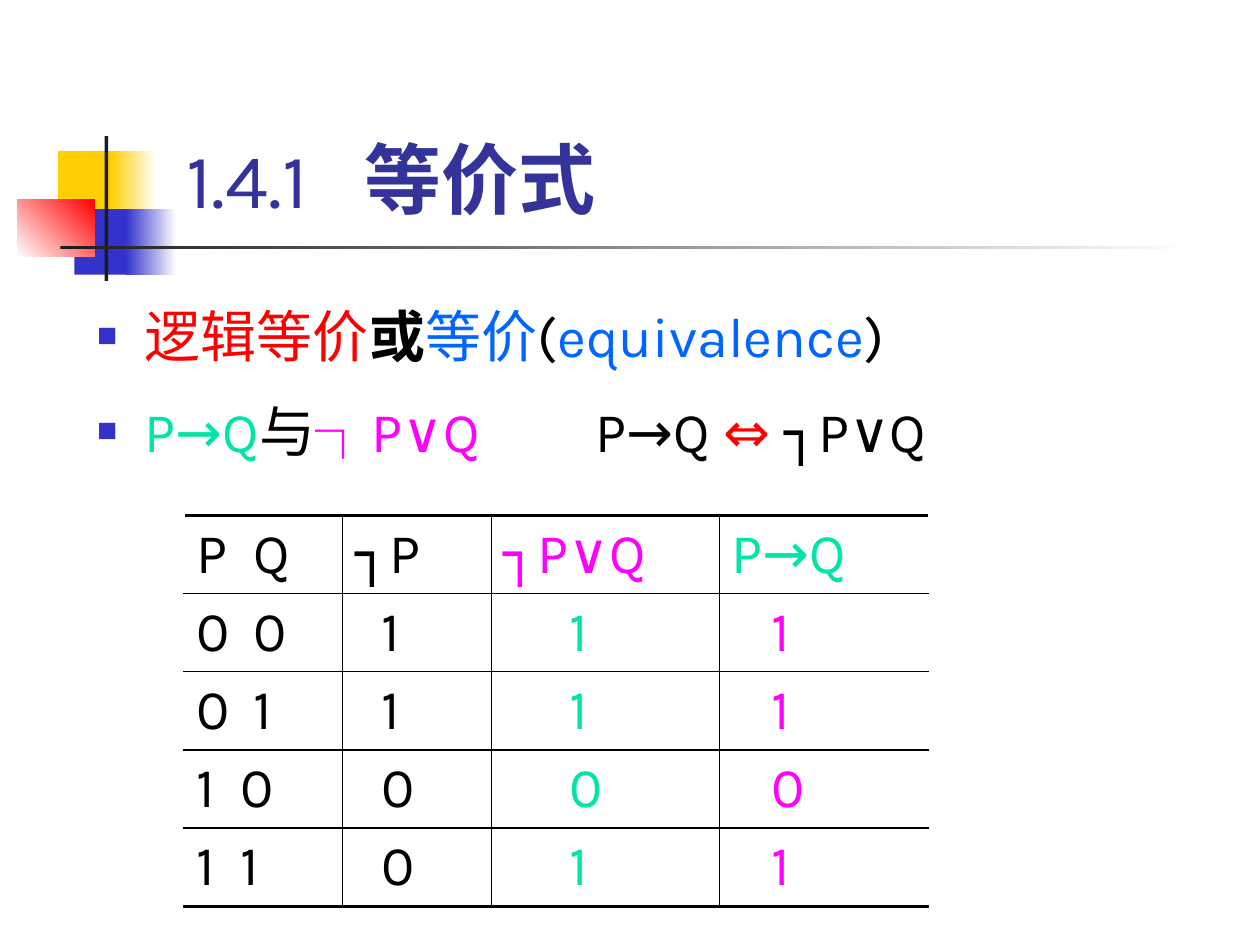
from lxml import etree
from pptx import Presentation
from pptx.dml.color import RGBColor
from pptx.enum import shapes, text
from pptx.oxml.ns import qn
from pptx.util import Inches, Pt

FONT = "Karla"
BLACK = RGBColor(0, 0, 0)
WHITE = RGBColor(255, 255, 255)
RED = RGBColor(255, 0, 0)
GOLD = RGBColor(0xFF, 0xCF, 0x01)
BLUE = RGBColor(0x33, 0x33, 0xCC)
NAVY = RGBColor(0x33, 0x33, 0x99)
SKY = RGBColor(0x00, 0x66, 0xFF)
MINT = RGBColor(0x00, 0xE4, 0xA8)
PINK = RGBColor(0xFF, 0x00, 0xFF)
DARK = RGBColor(0x1C, 0x1C, 0x1C)


def sub(node, tag, **attrs):
    return etree.SubElement(node, qn(tag), attrs)


def add_tab(para, stop):
    tabs = sub(para._p.get_or_add_pPr(), "a:tabLst")
    sub(tabs, "a:tab", pos=str(Inches(stop)), algn="l")


def add_run(para, words, color, size=32, bold=False):
    run = para.add_run()
    run.text = words
    font = run.font
    font.name, font.size, font.bold = FONT, Pt(size), bold
    font.color.rgb = color


def place(shape, box):
    shape.left, shape.top, shape.width, shape.height = map(Inches, box)


def add_block(slide, box, first, last=None, angle=0):
    block = slide.shapes.add_shape(
        shapes.MSO_SHAPE.RECTANGLE, *map(Inches, box))
    block.shadow.inherit = False
    block.line.fill.background()
    if last is None:
        block.fill.solid()
        block.fill.fore_color.rgb = first
        return
    block.fill.gradient()
    block.fill.gradient_angle = angle
    for stop, color in zip(block.fill.gradient_stops, (first, last)):
        stop.color.rgb = color


def add_motif(slide, left, top):
    parts = [
        (0.32, 0.12, 0.48, 0.52, GOLD),
        (0.74, 0.12, 0.36, 0.52, GOLD, WHITE),
        (0.45, 0.58, 0.46, 0.52, BLUE),
        (0.86, 0.58, 0.4, 0.52, BLUE, WHITE),
        (0, 0.5, 0.61, 0.46, WHITE, RED, 45),
        (0.69, 0, 0.03, 1.15, DARK),
        (0.34, 0.87, 9, 0.03, DARK, WHITE),
    ]
    for x, y, wide, high, *paint in parts:
        add_block(slide, (left + x, top + y, wide, high), *paint)


def fill_title(slide, box):
    title = slide.shapes.title
    place(title, box)
    frame = title.text_frame
    frame.auto_size = text.MSO_AUTO_SIZE.NONE
    frame.vertical_anchor = text.MSO_ANCHOR.BOTTOM
    frame.margin_left = Inches(0.22)
    para = frame.paragraphs[0]
    para.alignment = text.PP_ALIGN.LEFT
    add_tab(para, 1.41)
    add_run(para, "1.4.1\t", NAVY, 44)
    add_run(para, "等价式", NAVY, 44, True)


def add_bullet(para):
    props = para._p.get_or_add_pPr()
    props.set("marL", str(Inches(0.38)))
    props.set("indent", str(-Inches(0.38)))
    sub(sub(props, "a:buClr"), "a:srgbClr", val=str(BLUE))
    sub(props, "a:buSzPct", val="60000")
    sub(props, "a:buChar", char="■")


def fill_body(slide, box):
    body = slide.placeholders[1]
    place(body, box)
    frame = body.text_frame
    frame.auto_size = text.MSO_AUTO_SIZE.NONE
    lines = [
        [("逻辑等价", RED), ("或", BLACK, 32, True), ("等价", SKY),
         ("(", BLACK), ("equivalence", SKY), (")", BLACK)],
        [("P→Q", MINT), ("与", BLACK), ("┐P∨Q", PINK),
         ("\tP→Q ", BLACK), ("⇔", RED), (" ┐P∨Q", BLACK)],
    ]
    for row, line in enumerate(lines):
        para = frame.add_paragraph() if row else frame.paragraphs[0]
        para.line_spacing = 1.25
        para.space_before = Pt(6.4 if row else 0)
        add_bullet(para)
        if row:
            add_tab(para, 3.96)
        for run in line:
            add_run(para, *run)


def add_edge(cell, side, width):
    line = sub(cell._tc.get_or_add_tcPr(), "a:" + side, w=str(Pt(width)))
    sub(sub(line, "a:solidFill"), "a:srgbClr", val=str(BLACK))


def add_truth(slide, left, top):
    widths = [1.26, 1.18, 1.81, 1.66]
    pads = [0.1, 0.31, 0.62, 0.41]
    heads = [BLACK, BLACK, PINK, MINT]
    inks = [BLACK, BLACK, MINT, PINK]
    rows = [
        ("P\tQ", "┐P", "┐P∨Q", "P→Q"),
        ("0\t0", "1", "1", "1"),
        ("0\t1", "1", "1", "1"),
        ("1\t0", "0", "0", "0"),
        ("1\t1", "0", "1", "1"),
    ]
    high = 0.62
    table = slide.shapes.add_table(
        len(rows), len(widths), Inches(left), Inches(top),
        Inches(sum(widths)), Inches(high * len(rows))).table
    table.first_row = table.horz_banding = False
    for col, width in zip(table.columns, widths):
        col.width = Inches(width)
    for r, row in enumerate(rows):
        table.rows[r].height = Inches(high)
        for c, words in enumerate(row):
            cell = table.cell(r, c)
            cell.margin_left = Inches(pads[c] if r else 0.1)
            if c:
                add_edge(cell, "lnL", 1)
            if c < len(widths) - 1:
                add_edge(cell, "lnR", 1)
            add_edge(cell, "lnT", 1 if r else 2.25)
            add_edge(cell, "lnB", 1 if r < len(rows) - 1 else 2.25)
            cell.fill.background()
            para = cell.text_frame.paragraphs[0]
            if c == 0:
                add_tab(para, 0.35 if words[0] == "1" else 0.45)
            add_run(para, words, (inks if r else heads)[c])


def main():
    deck = Presentation()
    deck.slide_width, deck.slide_height = Inches(10), Inches(7.5)
    slide = deck.slides.add_slide(deck.slide_layouts[1])
    add_motif(slide, 0.14, 1.08)
    fill_title(slide, (1.26, 0.23, 8.52, 1.6))
    fill_body(slide, (0.67, 2.21, 9.06, 5.29))
    add_truth(slide, 1.46, 4.09)
    deck.save("out.pptx")


if __name__ == "__main__":
    main()
